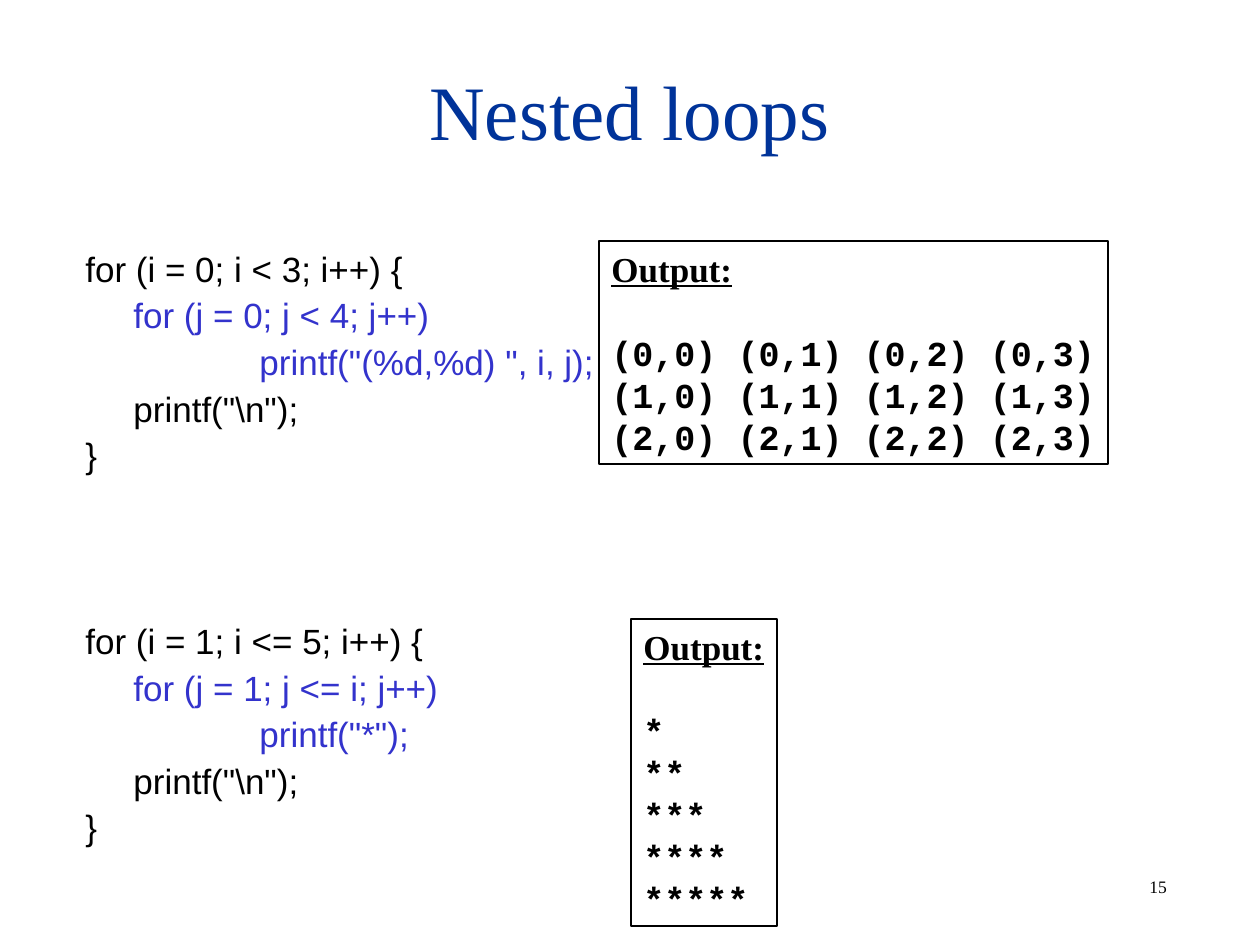
"""Build a slide on nested loops, with two code samples and their output."""
from dataclasses import dataclass

from pptx import Presentation
from pptx.dml.color import RGBColor
from pptx.enum.shapes import MSO_SHAPE
from pptx.enum.text import MSO_ANCHOR, PP_ALIGN
from pptx.util import Emu, Pt

RECTANGLE = MSO_SHAPE.RECTANGLE
TOP, MIDDLE = MSO_ANCHOR.TOP, MSO_ANCHOR.MIDDLE
LEFT, CENTER = PP_ALIGN.LEFT, PP_ALIGN.CENTER
EMU_PER_PIXEL = 914400 / 126


@dataclass(frozen=True)
class Theme:
    serif: str = "Times New Roman"
    sans: str = "Arial"
    mono: str = "Courier New"
    ink: str = "000000"
    heading: str = "003399"
    inner_loop: str = "3333CC"
    heading_size: int = 44
    body_size: int = 20
    number_size: int = 10


THEME = Theme()
INDENTS = (0, 48, 174)
SAMPLES = (
    (
        (0, "for (i = 0; i < 3; i++) {", THEME.ink),
        (1, "for (j = 0; j < 4; j++)", THEME.inner_loop),
        (2, 'printf("(%d,%d) ", i, j);', THEME.inner_loop),
        (1, 'printf("\\n");', THEME.ink),
        (0, "}", THEME.ink),
    ),
    (
        (0, "for (i = 1; i <= 5; i++) {", THEME.ink),
        (1, "for (j = 1; j <= i; j++)", THEME.inner_loop),
        (2, 'printf("*");', THEME.inner_loop),
        (1, 'printf("\\n");', THEME.ink),
        (0, "}", THEME.ink),
    ),
)
SAMPLE_LEAD, CODE_GAP, OUTPUT_LEAD = 84.8, 5, 24.2


def px(length):
    return Emu(round(length * EMU_PER_PIXEL))


def add_run(paragraph, text, font, size, color, bold=False, underline=False):
    run = paragraph.add_run()
    run.text = text
    run.font.name = font
    run.font.size = Pt(size)
    run.font.color.rgb = RGBColor.from_string(color)
    run.font.bold = bold
    run.font.underline = underline


def add_paragraph(frame, before=0, align=LEFT):
    first = frame.paragraphs[0]
    paragraph = frame.add_paragraph() if first.runs else first
    paragraph.space_before = Pt(before)
    paragraph.alignment = align
    return paragraph


def add_text_area(slide, box, anchor=TOP):
    frame = slide.shapes.add_textbox(*map(px, box)).text_frame
    frame.word_wrap = True
    frame.vertical_anchor = anchor
    return frame


def add_label(slide, box, text, size, color, align=LEFT):
    frame = add_text_area(slide, box, MIDDLE)
    add_run(add_paragraph(frame, align=align), text, THEME.serif, size, color)


def add_code(slide, box, samples):
    frame = add_text_area(slide, box)
    for lines in samples:
        before = SAMPLE_LEAD
        for level, text, color in lines:
            paragraph = add_paragraph(frame, before)
            paragraph.line_spacing = 0.9
            properties = paragraph._p.get_or_add_pPr()
            properties.set("marL", str(px(INDENTS[level])))
            properties.set("indent", "0")
            add_run(paragraph, text, THEME.sans, THEME.body_size, color)
            before = CODE_GAP


def add_output(slide, box, rows):
    panel = slide.shapes.add_shape(RECTANGLE, *map(px, box))
    panel.shadow.inherit = False
    panel.fill.background()
    panel.line.color.rgb = RGBColor.from_string(THEME.ink)
    panel.line.width = Pt(0.74)
    frame = panel.text_frame
    frame.word_wrap = False
    frame.vertical_anchor = TOP
    add_run(add_paragraph(frame), "Output:", THEME.serif,
            THEME.body_size, THEME.ink, bold=True, underline=True)
    before = OUTPUT_LEAD
    for row in rows:
        add_run(add_paragraph(frame, before), row, THEME.mono,
                THEME.body_size, THEME.ink, bold=True)
        before = 0


def main():
    deck = Presentation()
    deck.slide_width, deck.slide_height = px(1260), px(945)
    slide = deck.slides.add_slide(deck.slide_layouts[6])
    add_label(slide, (1137, 869, 98, 34), "15", THEME.number_size, THEME.ink)
    add_label(slide, (94, 31, 1071, 158), "Nested loops",
              THEME.heading_size, THEME.heading, CENTER)
    add_code(slide, (73, 246, 1124, 656), SAMPLES)
    pairs = [" ".join(f"({i},{j})" for j in range(4)) for i in range(3)]
    add_output(slide, (599, 241, 509, 223), pairs)
    add_output(slide, (631, 619, 146, 307), ["*" * i for i in range(1, 6)])
    deck.save("out.pptx")


main()
